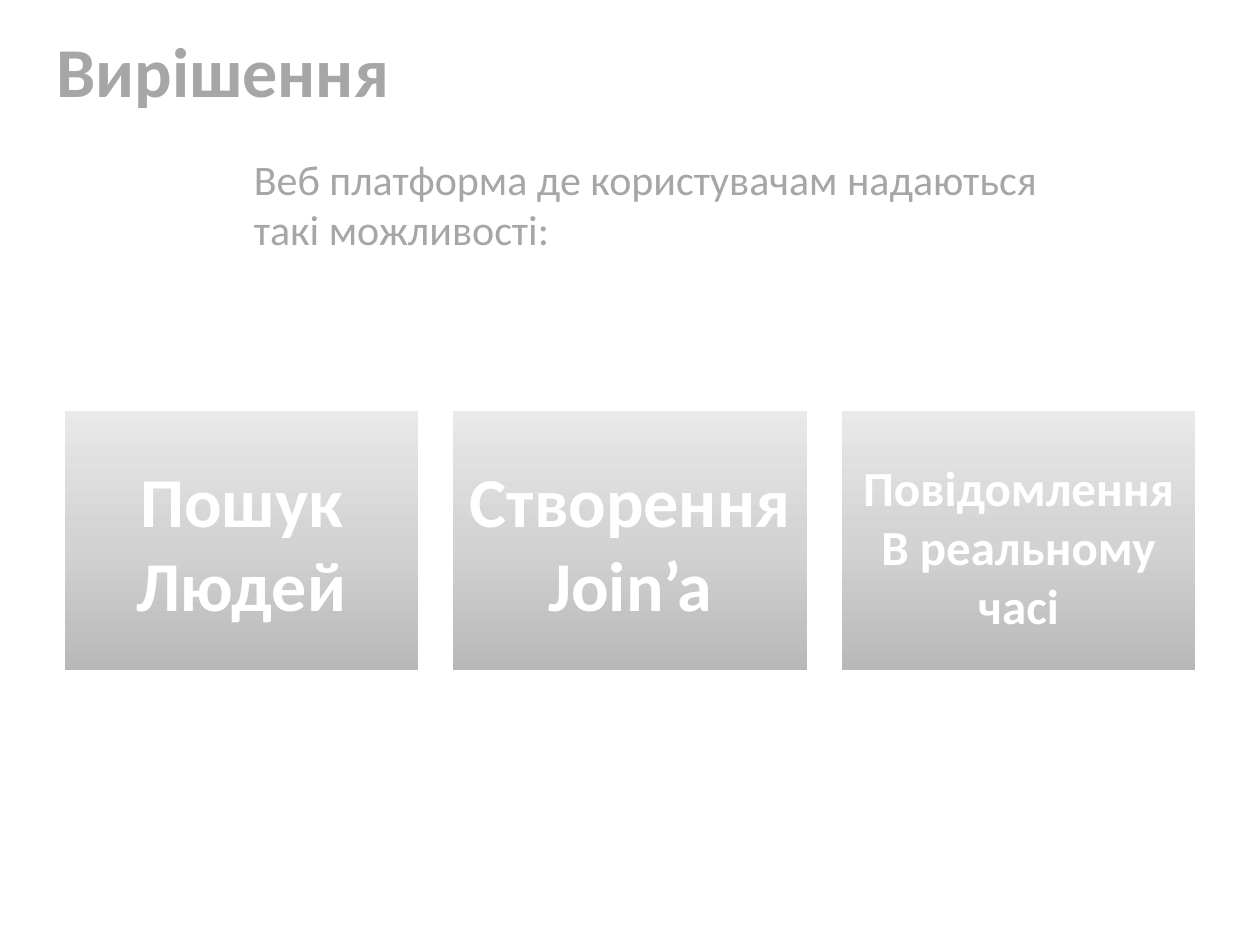
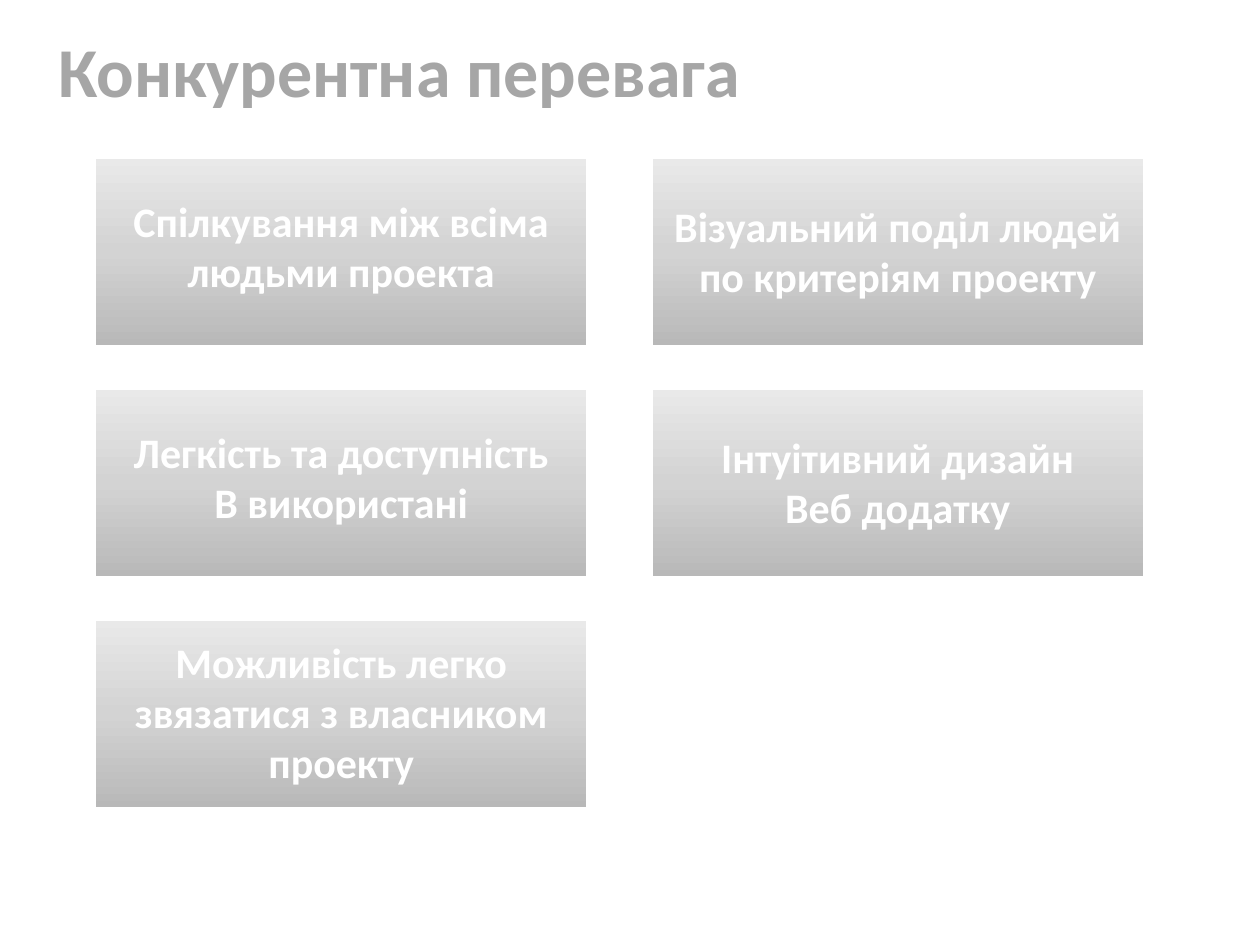
import copy

import pptx
import pptx.dml.color
import pptx.enum.shapes
import pptx.enum.text
import pptx.oxml.ns
import pptx.util

Pt = pptx.util.Pt
Align = pptx.enum.text.PP_ALIGN
Anchor = pptx.enum.text.MSO_ANCHOR

FONT = "Calibri"
GRAY = "A6A6A6"
WHITE = "FFFFFF"
GRADIENT = ["B8B8B8", "D3D3D3", "E9E9E9"]  # from bottom to top


def color(hex_code):
    return pptx.dml.color.RGBColor.from_string(hex_code)


def write(box, text, size=24, ink=WHITE, bold=True, align=Align.CENTER, wrap=True):
    """Fill a box with text, one paragraph for each line."""
    frame = box.text_frame
    frame.text = text
    frame.word_wrap = wrap
    frame.auto_size = pptx.enum.text.MSO_AUTO_SIZE.NONE
    frame.vertical_anchor = Anchor.TOP
    for para in frame.paragraphs:
        para.alignment = align
        para.font.name = FONT
        para.font.size = Pt(size)
        para.font.bold = bold
        para.font.color.rgb = color(ink)


# Each card: text, size, distance of the text from the card's top, text height
pages = [
    {
        "title": "Вирішення", "title_width": 206.5,
        "intro": "Веб платформа де користувачам надаються\nтакі можливості:",
        "columns": 3, "origin": (36, 234), "card": (204, 150), "pitch": (222, 0),
        "cards": [
            ("Пошук\nЛюдей", 40, 24, 104.5),
            ("Створення Join’a", 40, 24, 104.5),
            ("Повідомлення\nВ реальному\nчасі", 28, 24, 108.5),
        ],
    },
    {
        "title": "Конкурентна перевага", "title_width": 408,
        "intro": None,
        "columns": 2, "origin": (54, 90), "card": (282, 108), "pitch": (318, 132),
        "cards": [
            ("Спілкування між всіма людьми проекта", 24, 18, 65.5),
            ("Візуальний поділ людей по критеріям проекту", 24, 21, 65.5),
            ("Легкість та доступність\nВ використані", 24, 18, 65.5),
            ("Інтуітивний дизайн\nВеб додатку", 24, 21, 65.5),
            ("Можливість легко звязатися з власником проекту", 24, 6, 94.5),
        ],
    },
]

deck = pptx.Presentation()
deck.slide_width, deck.slide_height = Pt(720), Pt(540)
title_only = deck.slide_layouts[5]

for content in pages:
    page = deck.slides.add_slide(title_only)
    page.background.fill.solid()
    page.background.fill.fore_color.rgb = color(WHITE)

    title = page.shapes.title
    title.left, title.top = Pt(24), Pt(12)
    title.width, title.height = Pt(content["title_width"]), Pt(55.5)
    write(title, content["title"], size=40, ink=GRAY, wrap=False)

    if content["intro"]:
        intro = page.shapes.add_textbox(Pt(138), Pt(84), Pt(466.5), Pt(65.5))
        write(intro, content["intro"], ink=GRAY, bold=False, align=Align.LEFT, wrap=False)

    width, height = content["card"]
    for index, (text, size, offset, text_height) in enumerate(content["cards"]):
        row, column = divmod(index, content["columns"])
        left = content["origin"][0] + column * content["pitch"][0]
        top = content["origin"][1] + row * content["pitch"][1]

        card = page.shapes.add_shape(
            pptx.enum.shapes.MSO_SHAPE.RECTANGLE, Pt(left), Pt(top), Pt(width), Pt(height))
        card.shadow.inherit = False
        card.line.color.rgb = color(WHITE)
        card.line.width = Pt(2)
        card.fill.gradient()
        card.fill.gradient_angle = 90
        stop_list = card._element.find(".//" + pptx.oxml.ns.qn("a:gsLst"))
        stop_list.insert(1, copy.deepcopy(stop_list[0]))
        for number, (stop, shade) in enumerate(zip(card.fill.gradient_stops, GRADIENT)):
            stop.position = number / 2
            stop.color.rgb = color(shade)

        label = page.shapes.add_textbox(Pt(left), Pt(top + offset), Pt(width), Pt(text_height))
        write(label, text, size=size)

deck.save("out.pptx")
